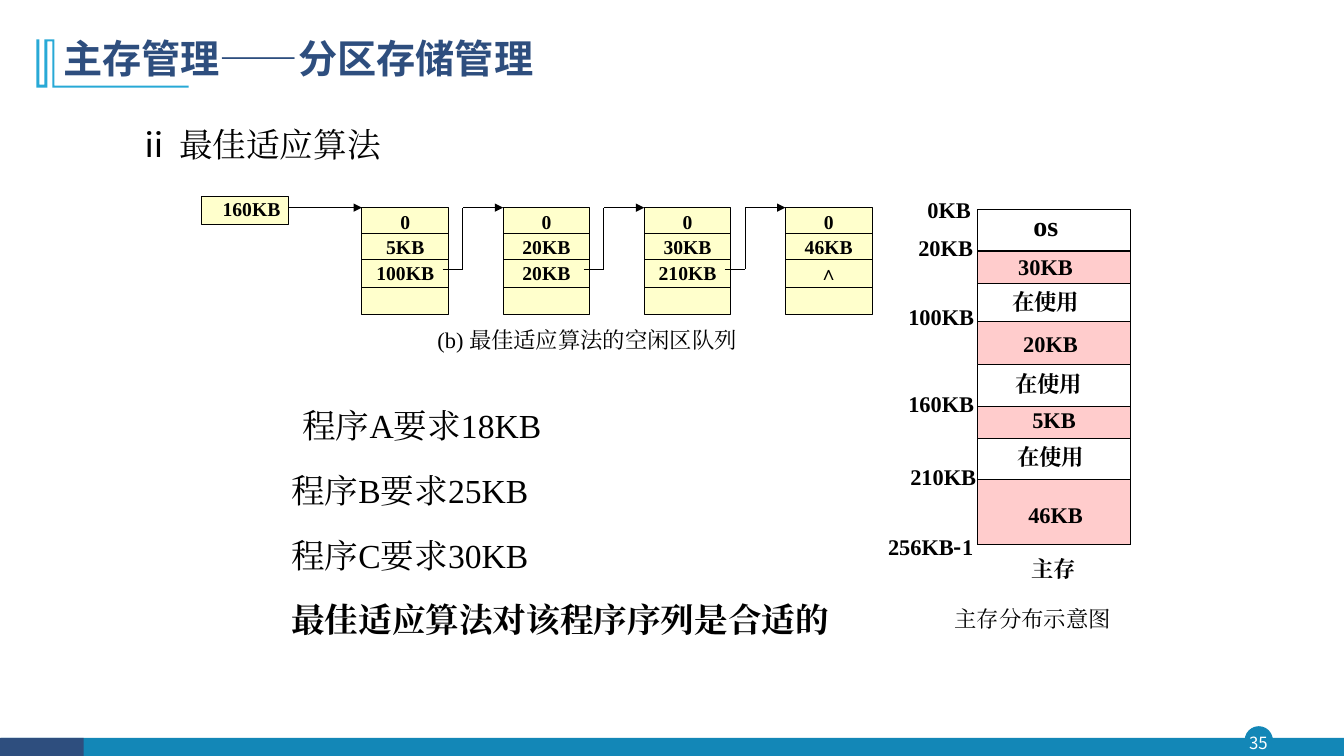
from dataclasses import dataclass
from typing import Any

from lxml import etree
from pptx import Presentation
from pptx.dml.color import RGBColor
from pptx.enum.shapes import MSO_CONNECTOR, MSO_SHAPE
from pptx.enum.text import MSO_ANCHOR, PP_ALIGN
from pptx.oxml.ns import qn
from pptx.util import Inches, Pt

COLORS = {
    "black": "000000", "white": "FFFFFF", "navy": "2E4E7E", "teal": "1387B7",
    "sky": "28A9D6", "pink": "FFCCCC", "yellow": "FFFFCC",
}
SANS, SERIF, ARIAL = "Noto Sans CJK SC", "Times New Roman", "Arial"


@dataclass
class Span:
    text: str
    size: float = 16
    bold: bool = False
    font: str = SERIF
    color: str = "black"


@dataclass
class Para:
    spans: list[Span]
    format: dict[str, Any]
    left: float = 0
    hanging: float = 0


@dataclass
class Label:
    text: str
    left: float
    top: float
    width: float = 0.92
    size: float = 16


@dataclass
class Block:
    top: float
    bottom: float
    free: bool


@dataclass
class Node:
    size: str
    following: Span


deck = Presentation()
deck.slide_width, deck.slide_height = Inches(13.33), Inches(7.5)
page = deck.slides.add_slide(deck.slide_layouts[6])


def rgb(name: str) -> RGBColor:
    return RGBColor.from_string(COLORS[name])


def write(frame: Any, paras: list[Para], **frame_format: Any) -> None:
    for name, value in {"word_wrap": True, **frame_format}.items():
        setattr(frame, name, value)
    for index, item in enumerate(paras):
        para = frame.paragraphs[0] if index == 0 else frame.add_paragraph()
        for name, value in item.format.items():
            if index or name != "space_before":
                setattr(para, name, value)
        if item.left:
            properties = para._p.get_or_add_pPr()
            properties.set("marL", str(Inches(item.left)))
            properties.set("indent", str(Inches(item.hanging)))
        for span in item.spans:
            run = para.add_run()
            run.text = span.text
            values = {"size": Pt(span.size), "bold": span.bold, "name": span.font}
            for name, value in values.items():
                setattr(run.font, name, value)
            run.font.color.rgb = rgb(span.color)
            east = etree.SubElement(run._r.get_or_add_rPr(), qn("a:ea"))
            east.set("typeface", span.font)


def add_text(left: float, top: float, width: float, height: float,
             paras: list[Para], **frame_format: Any) -> None:
    box = page.shapes.add_textbox(*map(Inches, (left, top, width, height)))
    write(box.text_frame, paras, **frame_format)


def paint(shape: Any, fill: str, line: str | None = None, weight: float = 0.75) -> None:
    shape.shadow.inherit = False
    shape.fill.solid()
    shape.fill.fore_color.rgb = rgb(fill)
    if line:
        shape.line.color.rgb = rgb(line)
        shape.line.width = Pt(weight)
    else:
        shape.line.fill.background()


def add_box(left: float, top: float, width: float, height: float, fill: str,
            line: str | None = "black", kind: Any = MSO_SHAPE.RECTANGLE) -> Any:
    shape = page.shapes.add_shape(kind, *map(Inches, (left, top, width, height)))
    paint(shape, fill, line)
    return shape


def add_line(x1: float, y1: float, x2: float, y2: float, arrow: bool = False) -> None:
    line = page.shapes.add_connector(MSO_CONNECTOR.STRAIGHT, *map(Inches, (x1, y1, x2, y2)))
    line.line.color.rgb = rgb("black")
    line.line.width = Pt(0.75)
    if arrow:
        etree.SubElement(line.line._get_or_add_ln(), qn("a:tailEnd")).set("type", "triangle")
    etree.SubElement(line._element.spPr, qn("a:effectLst"))


def add_label(label: Label, bold: bool = True, spacing: float = 1.0) -> None:
    para = Para([Span(label.text, label.size, bold)], {"line_spacing": spacing})
    add_text(label.left, label.top, label.width, 0.37, [para], word_wrap=False)


# Footer with page number
add_box(12.35, 7.21, 0.27, 0.27, "teal", "teal", MSO_SHAPE.OVAL)
add_box(0.01, 7.32, 13.32, 0.19, "teal", None)
add_box(0, 7.32, 0.83, 0.19, "navy", None)
margins = dict.fromkeys(("margin_left", "margin_right", "margin_top", "margin_bottom"), 0)
number = Para([Span("35", 12, font=SANS, color="white")], {"alignment": PP_ALIGN.CENTER})
add_text(12.32, 7.21, 0.32, 0.31, [number], vertical_anchor=MSO_ANCHOR.MIDDLE, **margins)

# Title and its ornament, outlined in hundredths of an inch
outline = [(54, 85), (187, 85), (187, 87), (52, 87), (52, 41), (47, 41), (47, 87),
           (36, 87), (36, 39), (39, 39), (39, 84), (44, 84), (44, 39)]
builder = page.shapes.build_freeform(54, 39, scale=Inches(0.01))
builder.add_line_segments(outline, close=True)
paint(builder.convert_to_shape(), "sky")
title = Span("主存管理——分区存储管理", 28, True, SANS, "navy")
add_text(0.53, 0.34, 10.49, 0.56, [Para([title], {"line_spacing": 0.9})])

# Heading and program requests
heading = [Span("ⅱ ", 24, font=SANS), Span("最佳适应算法", 24)]
add_text(0.64, 1.06, 4.46, 0.62, [Para(heading, {"line_spacing": 1.3}, 1, -0.37)])
requests = ["程序A要求18KB", "程序B要求25KB", "程序C要求30KB", "最佳适应算法对该程序序列是合适的"]
request_format = {"line_spacing": 1.3, "space_before": Pt(8.8)}
add_text(1.92, 3.85, 6.62, 2.54, [
    Para([Span(text, 24, text == requests[-1])], request_format, 0.87 if index else 0.98)
    for index, text in enumerate(requests)])

# Main memory map
MAP_LEFT, MAP_WIDTH = 9.69, 1.52
edges = [2.08, 2.49, 2.81, 3.19, 3.62, 4.03, 4.35, 4.76, 5.4]
blocks = [Block(top, bottom, index % 2 == 1)
          for index, (top, bottom) in enumerate(zip(edges, edges[1:]))]
add_box(MAP_LEFT, edges[0], MAP_WIDTH, edges[-1] - edges[0], "white")
for edge in edges[1:-1]:
    add_line(MAP_LEFT + 0.01, edge, MAP_LEFT + 0.01 + MAP_WIDTH, edge)
for block in blocks:
    if block.free:
        add_box(MAP_LEFT, block.top, MAP_WIDTH, block.bottom - block.top, "pink")
for label in [
    Label("os", 10.15, 2.02, 0.56, 20), Label("30KB", 10, 2.46), Label("在使用", 9.94, 2.81),
    Label("20KB", 10.05, 3.23), Label("在使用", 9.97, 3.62), Label("5KB", 10.14, 3.98),
    Label("在使用", 9.99, 4.35), Label("46KB", 10.1, 4.92), Label("主存", 10.13, 5.46),
    Label("0KB", 9.1, 1.9), Label("20KB", 9.01, 2.27), Label("100KB", 8.91, 2.96),
    Label("160KB", 8.91, 3.82), Label("210KB", 8.93, 4.55),
]:
    add_label(label)
last_address = [Span("256KB", bold=True), Span("-", bold=True, font=SANS), Span("1", bold=True)]
add_text(8.71, 5.24, 1.15, 0.37, [Para(last_address, {})], word_wrap=False)
add_label(Label("主存分布示意图", 9.37, 5.95, 1.8), bold=False)

# Free block queue
NODE_LEFT, NODE_TOP, NODE_WIDTH, NODE_PITCH = 3.59, 2.06, 0.86, 1.4
LINK_TOP = 2.67
nodes = [Node("5KB", Span("100KB", 14, True)), Node("20KB", Span("20KB", 14, True)),
         Node("30KB", Span("210KB", 14, True)), Node("46KB", Span("∧", 14, True, ARIAL))]
node_format = {"alignment": PP_ALIGN.CENTER, "line_spacing": 0.8, "space_before": Pt(4.6)}
add_box(2, 1.95, NODE_WIDTH, 0.28, "yellow")
add_label(Label("160KB", 2.11, 1.95, 0.8, 14), spacing=0.8)
add_line(2.87, NODE_TOP, NODE_LEFT, NODE_TOP, arrow=True)
for index, node in enumerate(nodes):
    left = NODE_LEFT + index * NODE_PITCH
    cell = add_box(left, NODE_TOP, NODE_WIDTH, 1.06, "yellow")
    rows = [Span("0", 14, True), Span(node.size, 14, True), node.following]
    write(cell.text_frame, [Para([row], node_format) for row in rows],
          vertical_anchor=MSO_ANCHOR.TOP, margin_top=Inches(0.07))
    for divider in (2.32, 2.57, 2.85):
        add_line(left, divider, left + NODE_WIDTH, divider)
    if node is not nodes[-1]:
        add_line(left + 0.8, LINK_TOP, left + 1, LINK_TOP)
        add_line(left + 1, LINK_TOP, left + 1, NODE_TOP)
        add_line(left + 1, NODE_TOP, left + NODE_PITCH, NODE_TOP, arrow=True)
add_label(Label("(b) 最佳适应算法的空闲区队列", 4.24, 3.24, 3.24), bold=False, spacing=0.8)

deck.save("out.pptx")
